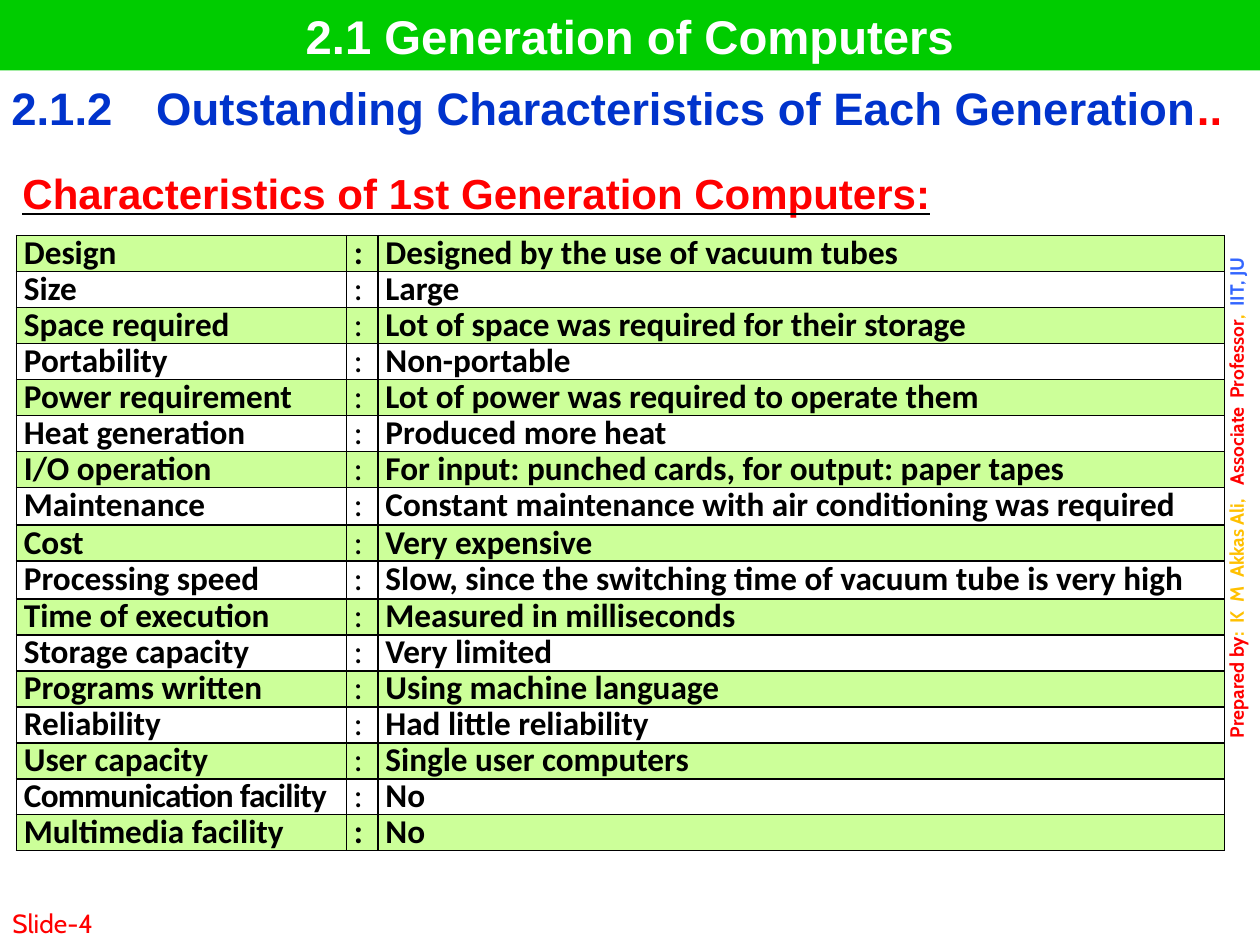
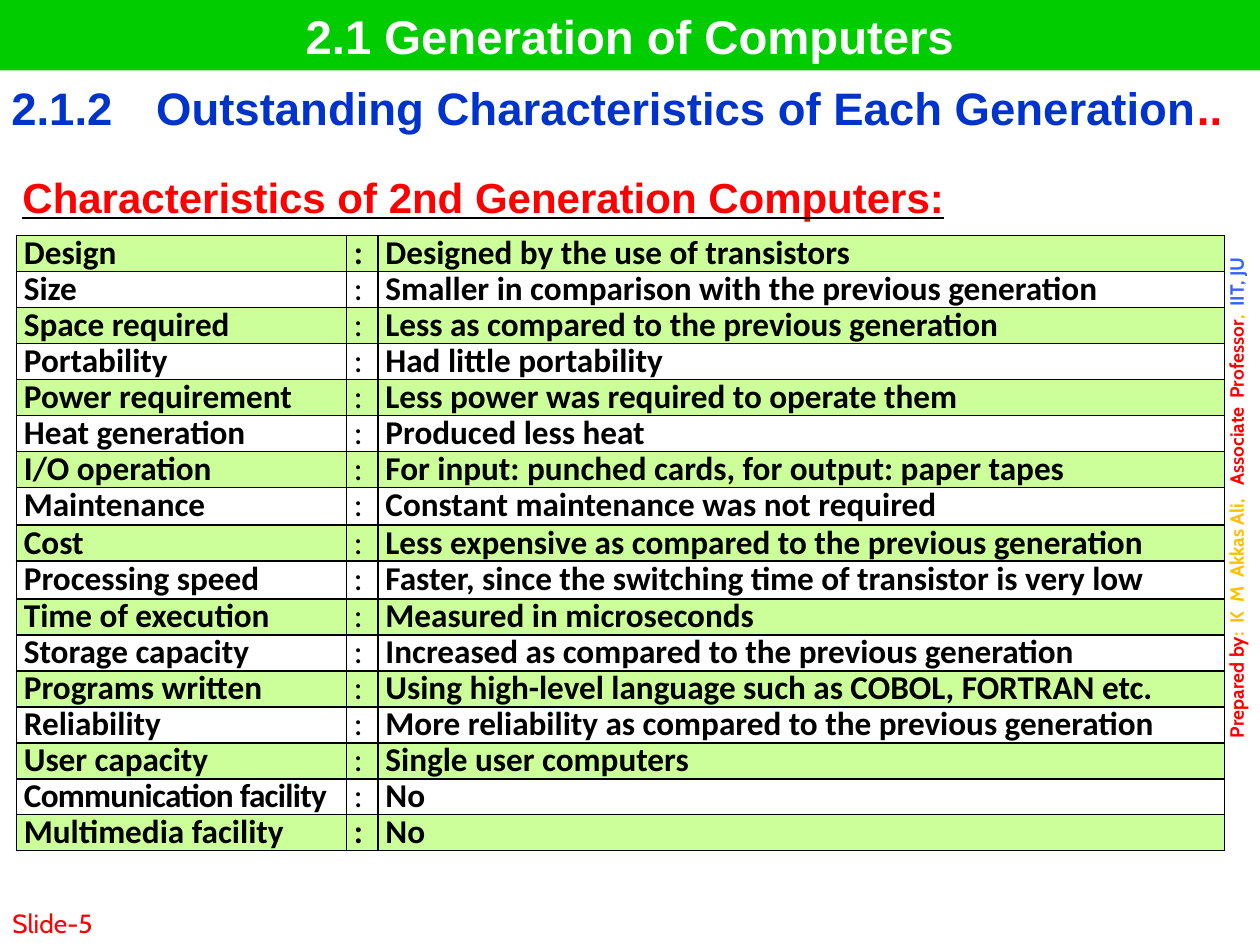
from dataclasses import dataclass

from lxml import etree
from pptx import Presentation
from pptx.dml.color import RGBColor
from pptx.enum import shapes, text
from pptx.oxml import ns
from pptx.util import Inches, Pt


@dataclass(frozen=True)
class Theme:
    green: str = "00CC00"
    pale_green: str = "CCFF99"
    blue: str = "0033CC"
    light_blue: str = "3366FF"
    red: str = "FF0000"
    gold: str = "FFC000"
    white: str = "FFFFFF"
    black: str = "000000"
    heading_font: str = "Arial"
    table_font: str = "Calibri"
    label_font: str = "Cabin"
    title_size: float = 27
    section_size: float = 26
    subtitle_size: float = 24
    table_size: float = 19
    number_size: float = 15
    byline_size: float = 11


@dataclass(frozen=True)
class Style:
    font: str
    size: float
    color: str
    bold: bool = True
    align: text.PP_ALIGN = text.PP_ALIGN.JUSTIFY


@dataclass(frozen=True)
class Piece:
    text: str
    color: str
    gap: float | None = None  # points added to the space that follows


@dataclass(frozen=True)
class Generation:
    number: int
    ordinal: str
    subtitle_top: float
    values: tuple[str, ...]


T = Theme()
TITLE = Style(T.heading_font, T.title_size, T.white, align=text.PP_ALIGN.CENTER)
SECTION = Style(T.heading_font, T.section_size, T.blue)
SUBTITLE = Style(T.heading_font, T.subtitle_size, T.red)
ENTRY = Style(T.table_font, T.table_size, T.black)
COLON = Style(T.table_font, T.table_size, T.black, bold=False)
NUMBER = Style(T.label_font, T.number_size, T.red, False, text.PP_ALIGN.LEFT)
BYLINE = Style(T.label_font, T.byline_size, T.red, align=text.PP_ALIGN.CENTER)

NO_TABLE_STYLE = "{2D5ABB26-0587-4C30-8999-92F81FD0307C}"
ROW_HEIGHT, TALL_ROW_HEIGHT = 0.285, 0.3
TALL_ROWS = ("Maintenance", "Processing speed")
TIGHT_ROW = "Communication facility"

BYLINE_PIECES = (
    Piece("Prepared by", T.red), Piece(":", T.gold, 2.5),
    Piece("K", T.gold, 2.5), Piece("M", T.gold, 2.5),
    Piece("Akkas Ali,", T.gold, 5), Piece("Associate", T.red, 2.5),
    Piece("Professor", T.red), Piece(",", T.gold, 2.5),
    Piece("IIT, JU", T.light_blue),
)

FEATURES = (
    "Design", "Size", "Space required", "Portability", "Power requirement",
    "Heat generation", "I/O operation", "Maintenance", "Cost",
    "Processing speed", "Time of execution", "Storage capacity",
    "Programs written", "Reliability", "User capacity",
    "Communication facility", "Multimedia facility",
)

GENERATIONS = (
    Generation(4, "1st", 1.25, (
        "Designed by the use of vacuum tubes",
        "Large",
        "Lot of space was required for their storage",
        "Non-portable",
        "Lot of power was required to operate them",
        "Produced more heat",
        "For input: punched cards, for output: paper tapes",
        "Constant maintenance with air conditioning was required",
        "Very expensive",
        "Slow, since the switching time of vacuum tube is very high",
        "Measured in milliseconds",
        "Very limited",
        "Using machine language",
        "Had little reliability",
        "Single user computers",
        "No",
        "No",
    )),
    Generation(5, "2nd", 1.28, (
        "Designed by the use of transistors",
        "Smaller in comparison with the previous generation",
        "Less as compared to the previous generation",
        "Had little portability",
        "Less power was required to operate them",
        "Produced less heat",
        "For input: punched cards, for output: paper tapes",
        "Constant maintenance was not required",
        "Less expensive as compared to the previous generation",
        "Faster, since the switching time of transistor is very low",
        "Measured in microseconds",
        "Increased as compared to the previous generation",
        "Using high-level language such as COBOL, FORTRAN etc.",
        "More reliability as compared to the previous generation",
        "Single user computers",
        "No",
        "No",
    )),
)


# Text helpers
def set_spacing(r, points: float) -> None:
    r._r.get_or_add_rPr().set("spc", str(round(points * 100)))


def write(tf, style: Style, *pieces: Piece):
    p = tf.paragraphs[0]
    p.alignment = style.align
    p.font.name, p.font.size, p.font.bold = style.font, Pt(style.size), style.bold
    p.font.color.rgb = RGBColor.from_string(style.color)
    for piece in pieces:
        r = p.add_run()
        r.text = piece.text
        if piece.color != style.color:
            r.font.color.rgb = RGBColor.from_string(piece.color)
        if piece.gap is not None:
            space = p.add_run()
            space.text = " "
            set_spacing(space, piece.gap)
    return p


def add_text(s, left: float, top: float, width: float, height: float):
    tf = s.shapes.add_textbox(*map(Inches, (left, top, width, height))).text_frame
    tf.word_wrap = True
    return tf


# Table helpers
def add_table(s, left: float, top: float, widths: tuple, heights: list):
    size = map(Inches, (left, top, sum(widths), sum(heights)))
    table = s.shapes.add_table(len(heights), len(widths), *size).table
    table.first_row = table.horz_banding = False
    table._tbl.tblPr.find(ns.qn("a:tableStyleId")).text = NO_TABLE_STYLE
    for column, width in zip(table.columns, widths):
        column.width = Inches(width)
    for row, height in zip(table.rows, heights):
        row.height = Inches(height)
    return table


def fill_cell(cell, style: Style, inset: float, *pieces: Piece):
    cell.margin_left = cell.margin_right = Inches(inset)
    cell.margin_top = cell.margin_bottom = 0
    cell.fill.background()
    return write(cell.text_frame, style, *pieces)


def add_borders(cell) -> None:
    tcPr = cell._tc.get_or_add_tcPr()
    for position, side in enumerate("LRTB"):
        ln = etree.Element(ns.qn(f"a:ln{side}"), w=str(Pt(1)))
        fill = etree.SubElement(ln, ns.qn("a:solidFill"))
        etree.SubElement(fill, ns.qn("a:srgbClr"), val=T.black)
        tcPr.insert(position, ln)


# Slide parts
def add_byline(s) -> None:
    tf = add_text(s, 9.67, 0.49, 0.39, 6.92)
    tf._txBody.bodyPr.set("vert", "vert270")
    write(tf, BYLINE, *BYLINE_PIECES)


def add_title_band(s) -> None:
    band = s.shapes.add_shape(shapes.MSO_SHAPE.RECTANGLE, 0, 0, Inches(10), Inches(0.56))
    band.shadow.inherit = False
    band.fill.solid()
    band.fill.fore_color.rgb = RGBColor.from_string(T.green)
    band.line.fill.background()
    write(band.text_frame, TITLE, Piece("2.1 Generation of Computers", T.white))


def add_section_heading(s) -> None:
    table = add_table(s, 0.02, 0.67, (1.15, 8.67), [0.43])
    fill_cell(table.cell(0, 0), SECTION, 0.07, Piece("2.1.2", T.blue))
    fill_cell(table.cell(0, 1), SECTION, 0.07,
              Piece("Outstanding Characteristics of Each Generation", T.blue),
              Piece("..", T.red))


def add_subtitle(s, generation: Generation) -> None:
    tf = add_text(s, 0.08, generation.subtitle_top, 9.17, 0.58)
    tf.margin_top = Inches(0.08)
    title = f"Characteristics of {generation.ordinal} Generation Computers:"
    r = write(tf, SUBTITLE, Piece(title, T.red)).runs[0]
    r.font.underline = True
    # Black underline beneath the red text
    underline = etree.SubElement(r._r.get_or_add_rPr(), ns.qn("a:uFill"))
    fill = etree.SubElement(underline, ns.qn("a:solidFill"))
    etree.SubElement(fill, ns.qn("a:srgbClr"), val=T.black)


def add_characteristics(s, generation: Generation) -> None:
    heights = [TALL_ROW_HEIGHT if f in TALL_ROWS else ROW_HEIGHT for f in FEATURES]
    table = add_table(s, 0.13, 1.87, (2.62, 0.25, 6.72), heights)
    for i, (feature, value) in enumerate(zip(FEATURES, generation.values)):
        colon = ENTRY if i in (0, len(FEATURES) - 1) else COLON
        entries = ((feature, ENTRY), (":", colon), (value, ENTRY))
        for j, (entry, style) in enumerate(entries):
            cell = table.cell(i, j)
            p = fill_cell(cell, style, 0.06, Piece(entry, T.black))
            p.line_spacing = 0.9
            if entry == TIGHT_ROW:
                set_spacing(p.runs[0], -0.4)
            add_borders(cell)
            if i % 2 == 0:
                cell.fill.solid()
                cell.fill.fore_color.rgb = RGBColor.from_string(T.pale_green)


def add_slide_number(s, number: int) -> None:
    tf = add_text(s, 0, 7, 2.08, 0.5)
    tf.vertical_anchor = text.MSO_ANCHOR.BOTTOM
    write(tf, NUMBER, Piece(f"Slide-{number}", T.red))


def main() -> None:
    prs = Presentation()
    prs.slide_width, prs.slide_height = Inches(10), Inches(7.5)
    for generation in GENERATIONS:
        s = prs.slides.add_slide(prs.slide_layouts[6])
        add_byline(s)
        add_title_band(s)
        add_section_heading(s)
        add_subtitle(s, generation)
        add_slide_number(s, generation.number)
        add_characteristics(s, generation)
    prs.save("out.pptx")


if __name__ == "__main__":
    main()
